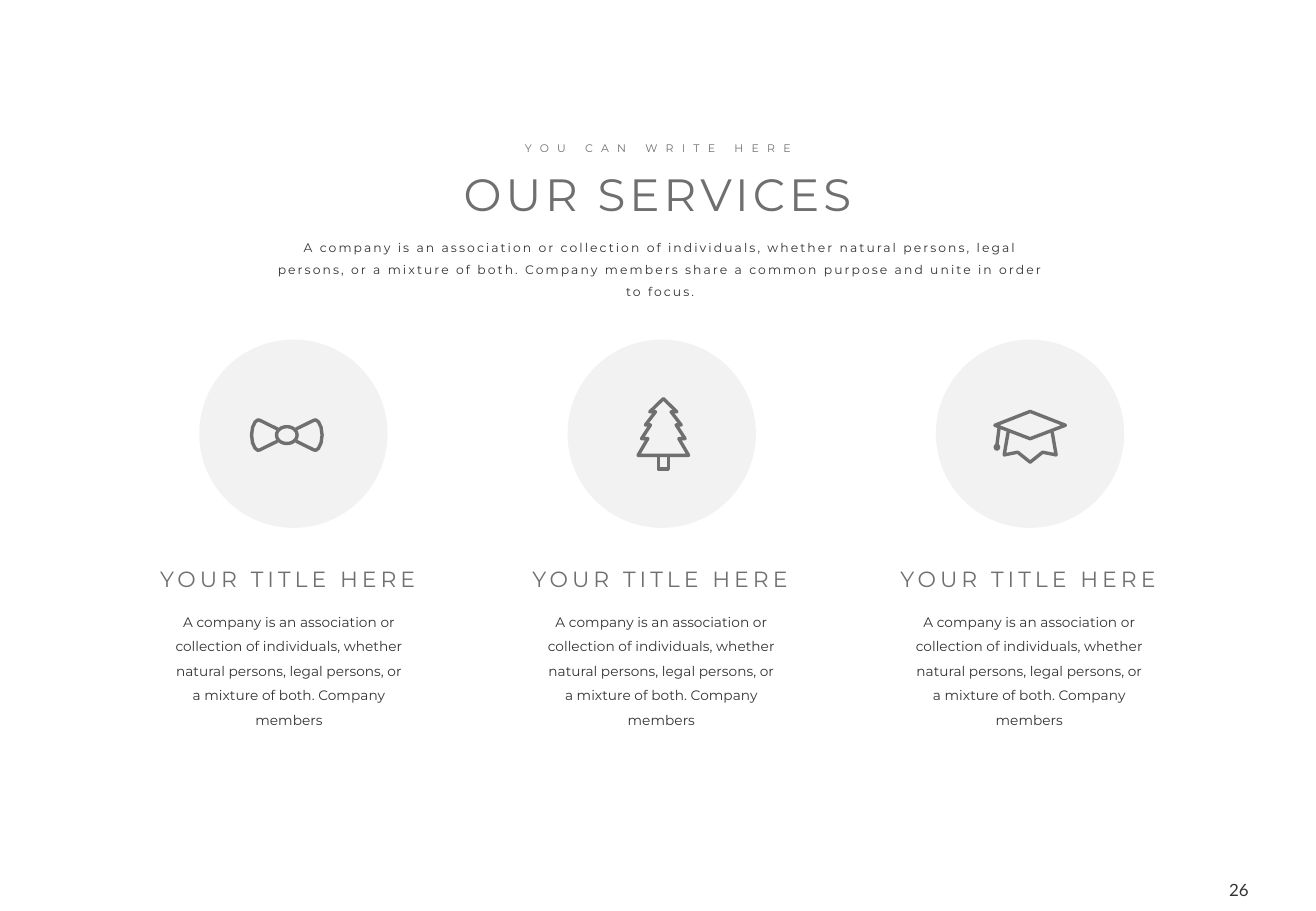
from dataclasses import dataclass
from math import cos, pi, sin

from lxml.etree import SubElement
from pptx import Presentation
from pptx.dml.color import RGBColor
from pptx.enum.shapes import MSO_SHAPE
from pptx.enum.text import MSO_ANCHOR, MSO_AUTO_SIZE, PP_ALIGN
from pptx.oxml.ns import qn
from pptx.shapes.shapetree import SlideShapes
from pptx.util import Pt

Point = tuple[float, float]


@dataclass(frozen=True)
class TextStyle:
    size: float
    color: RGBColor
    font: str = "Montserrat"
    tracking: float = 0
    line_spacing: float = 1
    align: PP_ALIGN = PP_ALIGN.CENTER
    wrap: bool = True
    inset: bool = True


GRAY = RGBColor(0x70, 0x6E, 0x6F)
DARK = RGBColor(0x33, 0x33, 0x33)


@dataclass(frozen=True)
class Theme:
    icon: RGBColor = GRAY
    disc: RGBColor = RGBColor(0xF2, 0xF2, 0xF2)
    stroke: float = 2
    kicker: TextStyle = TextStyle(6.5, GRAY, tracking=4.9)
    heading: TextStyle = TextStyle(26.8, GRAY, tracking=2.4)
    intro: TextStyle = TextStyle(7.3, DARK, tracking=1.23, line_spacing=1.5)
    title: TextStyle = TextStyle(13, GRAY, tracking=2.4, wrap=False)
    body: TextStyle = TextStyle(8.1, DARK, line_spacing=1.5)
    number: TextStyle = TextStyle(10, DARK, "Lato", align=PP_ALIGN.RIGHT,
                                  wrap=False, inset=False)


THEME = Theme()


@dataclass(frozen=True)
class Label:
    text: str
    left: float
    top: float
    width: float
    height: float
    style: TextStyle


@dataclass(frozen=True)
class Stroke:
    points: list[Point]
    closed: bool = False


@dataclass(frozen=True)
class Service:
    title: str
    body: str
    text_left: float
    icon_center: Point
    icon: list[Stroke]


def flip(points: list[Point]) -> list[Point]:
    """Mirror points across the vertical axis, in reverse order."""
    return [(-x, y) for x, y in reversed(points)]


def ring(center: Point, width: float, height: float, steps: int = 24) -> Stroke:
    """Outline an ellipse with short straight segments."""
    x, y = center
    angles = [2 * pi * i / steps for i in range(steps)]
    return Stroke([(x + width / 2 * cos(a), y + height / 2 * sin(a)) for a in angles],
                  closed=True)


# Icon points are measured from the centre of the icon.
WING = [(5.5, -3.6), (16, -8.8), (17.2, -9), (18.8, -7.8), (20.3, -4.6), (20.9, 0),
        (20.3, 4.6), (18.8, 7.8), (17.2, 9), (16, 8.8), (5.5, 3.6)]
BOW_TIE = [Stroke(WING), Stroke(flip(WING)), ring((0, 0), 12.2, 10)]

BRANCHES = [(0, -21), (8, -13.2), (4.6, -13.2), (10.6, -5.4), (7.6, -5.4),
            (12.9, 2.7), (9.2, 2.7), (15, 12.6)]
TREE = [Stroke(BRANCHES + flip(BRANCHES[1:]), closed=True),
        Stroke([(-3, 12.6), (-3, 20.7), (3, 20.7), (3, 12.6)])]

CLOTH = [(0, 15.1), (7.4, 9.2), (15.4, 10.8), (13, -3)]
GRADUATION_CAP = [
    Stroke([(0, -15), (20.9, -6.8), (0, 1.2), (-20.9, -6.8)], closed=True),
    Stroke(flip(CLOTH) + CLOTH[1:]),
    Stroke([(-18.4, -5.4), (-19.7, 5)]),
    ring((-19.7, 6.2), 1.8, 2.2),
]

TITLE = "YOUR TITLE HERE"
BODY = ("A company is an association or collection of individuals, whether natural "
        "persons, legal persons, or a mixture of both. Company members")
SERVICES = [
    Service(TITLE, BODY, 94.6, (170, 257.9), BOW_TIE),
    Service(TITLE, BODY, 315.3, (393.2, 257.3), TREE),
    Service(TITLE, BODY, 533.4, (610.6, 258.9), GRADUATION_CAP),
]
LABELS = [
    Label("26", 720.7, 521.3, 19.4, 12.2, THEME.number),
    Label("OUR SERVICES", 218.2, 95, 343.4, 39.6, THEME.heading),
    Label("YOU CAN WRITE HERE", 289.6, 80.6, 200.9, 15.1, THEME.kicker),
    Label("A company is an association or collection of individuals, whether natural "
          "persons, legal persons, or a mixture of both. Company members share a common "
          "purpose and unite in order to focus.", 156.9, 134.4, 468.7, 45.4, THEME.intro),
]
DISC_LEFT, DISC_STEP, DISC_TOP, DISC_SIZE = 118.1, 218.3, 201.3, 111.6


def add_label(shapes: SlideShapes, label: Label) -> None:
    style = label.style
    tf = shapes.add_textbox(Pt(label.left), Pt(label.top),
                            Pt(label.width), Pt(label.height)).text_frame
    frame_format = {"word_wrap": style.wrap, "vertical_anchor": MSO_ANCHOR.TOP,
                    "auto_size": MSO_AUTO_SIZE.SHAPE_TO_FIT_TEXT}
    if not style.inset:
        frame_format |= {f"margin_{side}": 0 for side in ("left", "top", "right", "bottom")}
    p = tf.paragraphs[0]
    r = p.add_run()
    r.text = label.text
    formats = [
        (tf, frame_format),
        (p, {"alignment": style.align, "line_spacing": style.line_spacing}),
        (r.font, {"name": style.font, "size": Pt(style.size)}),
        (r.font.color, {"rgb": style.color}),
    ]
    for target, values in formats:
        for name, value in values.items():
            setattr(target, name, value)
    if style.tracking:
        r.font._element.set("spc", str(round(style.tracking * 100)))


def add_disc(shapes: SlideShapes, left: float) -> None:
    sp = shapes.add_shape(MSO_SHAPE.OVAL, Pt(left), Pt(DISC_TOP),
                          Pt(DISC_SIZE), Pt(DISC_SIZE))
    sp.shadow.inherit = False
    sp.fill.solid()
    sp.fill.fore_color.rgb = THEME.disc
    sp.line.fill.background()


def add_icon(shapes: SlideShapes, service: Service) -> None:
    """Draw all strokes of an icon as one unfilled freeform with round joints."""
    cx, cy = service.icon_center
    strokes = [([(Pt(cx + x), Pt(cy + y)) for x, y in stroke.points], stroke.closed)
               for stroke in service.icon]
    builder = shapes.build_freeform(*strokes[0][0][0])
    for i, (points, closed) in enumerate(strokes):
        if i:
            builder.move_to(*points[0])
        builder.add_line_segments(points[1:], close=closed)
    sp = builder.convert_to_shape()
    sp.shadow.inherit = False
    sp.fill.background()
    sp.line.color.rgb = THEME.icon
    sp.line.width = Pt(THEME.stroke)
    SubElement(sp.line._get_or_add_ln(), qn("a:round"))


def main() -> None:
    prs = Presentation()
    prs.slide_width, prs.slide_height = Pt(780), Pt(540)
    shapes = prs.slides.add_slide(prs.slide_layouts[6]).shapes
    for label in LABELS:
        add_label(shapes, label)
    for i, service in enumerate(SERVICES):
        left = service.text_left
        add_disc(shapes, DISC_LEFT + i * DISC_STEP)
        add_label(shapes, Label(service.body, left, 355.3, 153.4, 79.2, THEME.body))
        add_label(shapes, Label(service.title, left - 9.4, 331.6, 170.6, 23, THEME.title))
        add_icon(shapes, service)
    prs.save("out.pptx")


if __name__ == "__main__":
    main()
